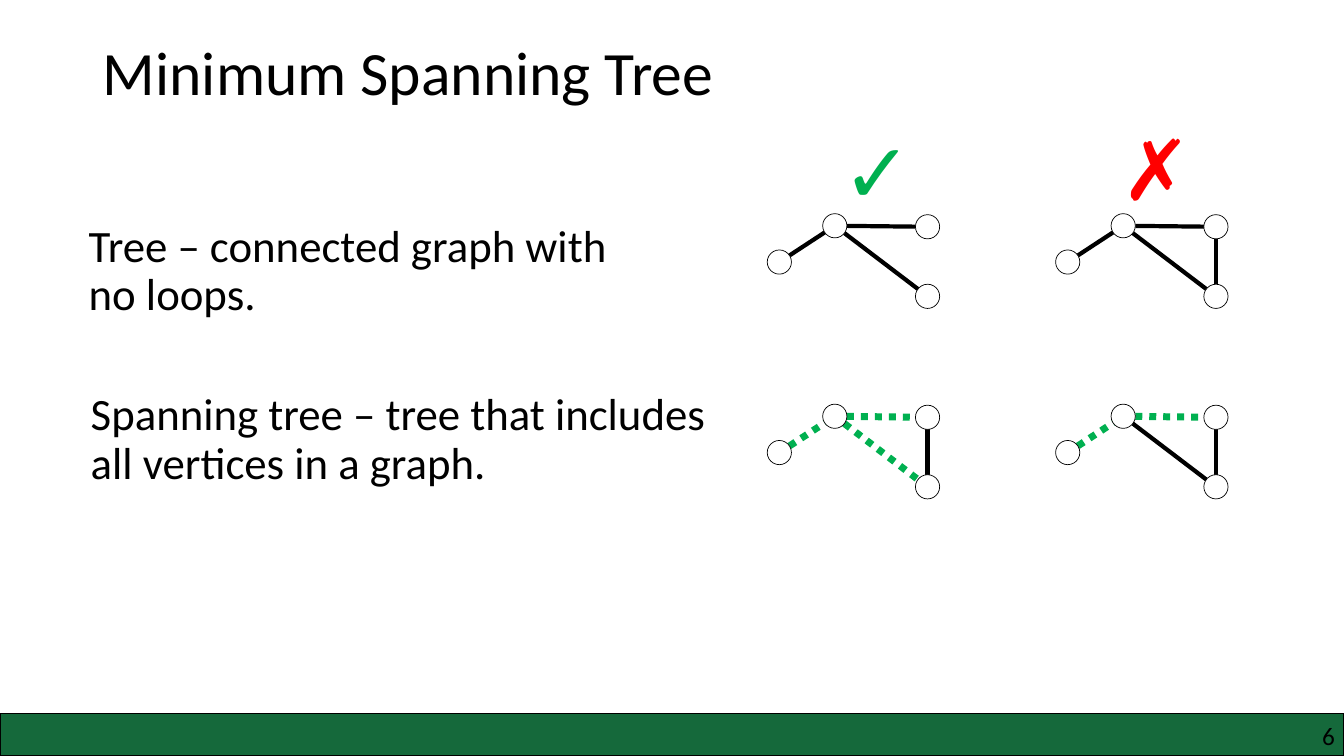
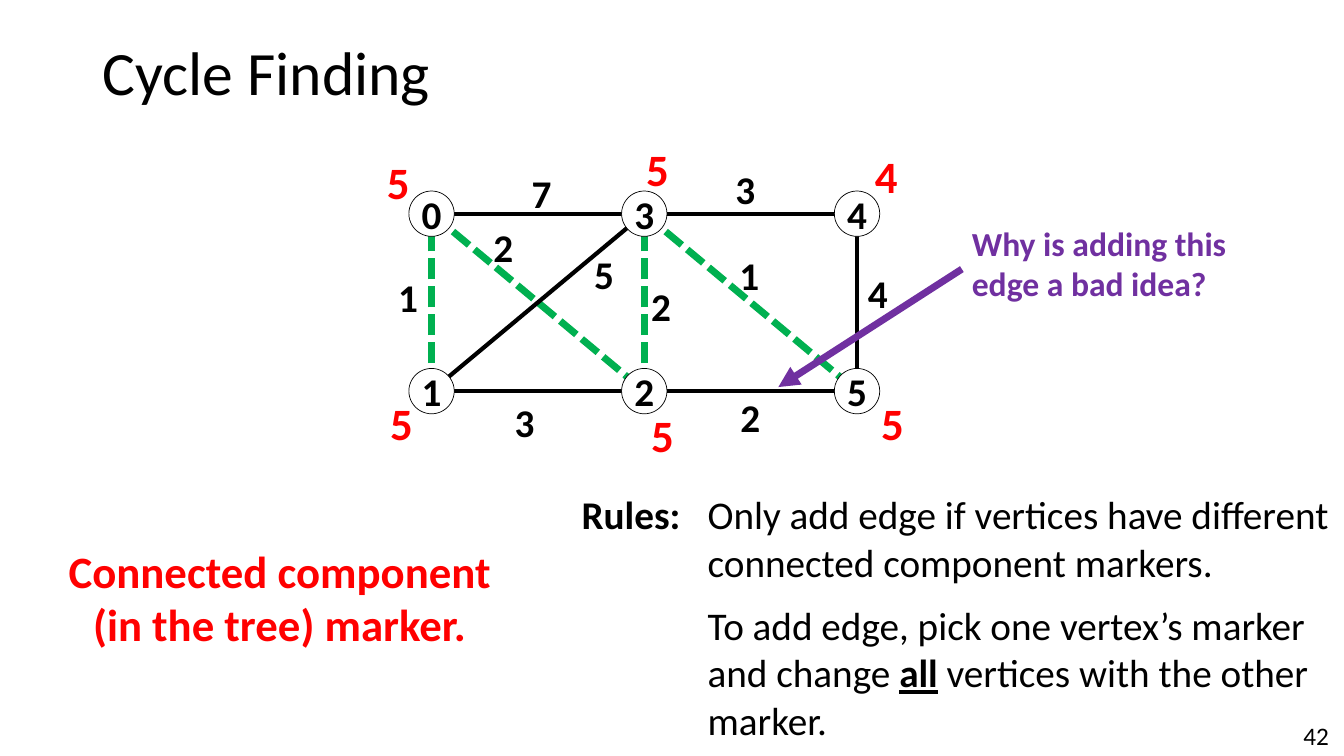
"""Build two lecture slides on spanning trees and cycle finding."""
from math import hypot

from lxml import etree
from pptx import Presentation
from pptx.dml.color import RGBColor
from pptx.enum.dml import MSO_LINE
from pptx.enum.shapes import MSO_CONNECTOR, MSO_SHAPE
from pptx.enum.text import MSO_ANCHOR, MSO_AUTO_SIZE, PP_ALIGN
from pptx.oxml.ns import qn
from pptx.util import Inches, Pt

LEFT, CENTER, RIGHT = PP_ALIGN.LEFT, PP_ALIGN.CENTER, PP_ALIGN.RIGHT
TOP, MIDDLE = MSO_ANCHOR.TOP, MSO_ANCHOR.MIDDLE
DOT, DASH = MSO_LINE.ROUND_DOT, MSO_LINE.SQUARE_DOT
STRAIGHT, OVAL, RECT = MSO_CONNECTOR.STRAIGHT, MSO_SHAPE.OVAL, MSO_SHAPE.RECTANGLE
NO_FIT = MSO_AUTO_SIZE.NONE

W, H = 13.33, 7.5
BLACK, WHITE, GREEN, RED, PURPLE, BAND = (
    RGBColor.from_string(c)
    for c in ("000000", "FFFFFF", "00B050", "FF0000", "7030A0", "15693B"))
THEME = {
    "title": {"size": 44, "color": BLACK},
    "body": {"size": 32, "color": BLACK},
    "rule": {"size": 28, "color": BLACK},
    "weight": {"size": 28, "color": BLACK, "bold": True},
    "marker": {"size": 32, "color": RED, "bold": True},
    "question": {"size": 24, "color": PURPLE, "bold": True},
    "yes": {"size": 60, "color": GREEN, "bold": True, "name": "Arial"},
    "no": {"size": 60, "color": RED, "bold": True, "name": "Arial"},
    "number": {"size": 18, "color": BLACK},
    "edge": (BLACK, 3, None),
    "dotted": (GREEN, 5, DOT),
    "dashed": (GREEN, 5, DASH),
    "arrow": (PURPLE, 5, None),
}


def write(sp, paras, style, align=LEFT, anchor=TOP, inset=None, gap=0, spacing=1.0):
    """Fill a shape with paragraphs, each a list of (text, extra format) runs."""
    tf = sp.text_frame
    frame = {"word_wrap": True, "auto_size": NO_FIT, "vertical_anchor": anchor}
    if inset is not None:
        frame.update({f"margin_{side}": Inches(inset)
                      for side in ("left", "top", "right", "bottom")})
    for key, value in frame.items():
        setattr(tf, key, value)
    for i, runs in enumerate(paras):
        p = tf.add_paragraph() if i else tf.paragraphs[0]
        p.alignment, p.line_spacing = align, spacing
        p.space_before = Pt(gap if i else 0)
        if sp.is_placeholder:
            pPr = p._p.get_or_add_pPr()
            pPr.set("marL", "0")
            pPr.set("indent", "0")
            etree.SubElement(pPr, qn("a:buNone"))
        for text, extra in runs:
            r = p.add_run()
            r.text = text
            fmt = {"name": "Calibri", **THEME[style], **extra}
            r.font.color.rgb = fmt.pop("color")
            fmt["size"] = Pt(fmt["size"])
            for key, value in fmt.items():
                setattr(r.font, key, value)


def add_line(s, start, end, style):
    """Draw a straight line without shadow and return it."""
    c = s.shapes.add_connector(STRAIGHT, *(Inches(v) for v in (*start, *end)))
    color, width, dash = THEME[style]
    c.line.color.rgb, c.line.width = color, Pt(width)
    if dash:
        c.line.dash_style = dash
    etree.SubElement(c.element.spPr, qn("a:effectLst"))
    return c


prs = Presentation()
prs.slide_width, prs.slide_height = Inches(W), Inches(H)
tree = prs.slides.add_slide(prs.slide_layouts[3])
cycle = prs.slides.add_slide(prs.slide_layouts[5])

for sp, box, text, style, anchor in (
    (tree.shapes.title, (0.92, 0.02, 11.5, 1.45), "Minimum Spanning Tree", "title", MIDDLE),
    (cycle.shapes.title, (0.92, 0.02, 11.5, 1.45), "Cycle Finding", "title", MIDDLE),
    (tree.placeholders[1], (0.78, 2.17, 5.76, 1.06),
     "Tree – connected graph with no loops.", "body", TOP),
    (tree.placeholders[2], (0.8, 3.84, 6.72, 1.06),
     "Spanning tree – tree that includes all vertices in a graph.", "body", TOP),
):
    sp.left, sp.top, sp.width, sp.height = (Inches(v) for v in box)
    write(sp, [[(text, {})]], style, anchor=anchor, spacing=0.9)

graphs = []
small_vertices = ((0, 0.36), (0.55, 0), (1.47, 0.01), (1.47, 0.7))
small_edges = ((0, 1), (1, 2), (1, 3), (3, 2))
for col, row, styles in (
    (0, 0, ["edge"] * 3),
    (1, 0, ["edge"] * 4),
    (0, 1, ["dotted"] * 3 + ["edge"]),
    (1, 1, ["dotted"] * 2 + ["edge"] * 2),
):
    x, y = 7.73 + 2.86 * col, 2.24 + 1.89 * row
    vertices = [(x + dx, y + dy) for dx, dy in small_vertices]
    edges = [(*ends, style) for ends, style in zip(small_edges, styles)]
    graphs.append((tree, vertices, edges, 0.24, 0.12, ""))

cols, rows = [4.28 + 2.11 * i for i in range(3)], (2.12, 3.88)
nodes = [(cols[i], rows[j]) for i, j in ((0, 0), (0, 1), (1, 1), (1, 0), (2, 0), (2, 1))]
weighted = (
    (1, 0, "dashed", "1", -0.43, -0.34),
    (5, 4, "edge", "4", 0.01, -0.38),
    (2, 3, "dashed", "2", -0.03, -0.25),
    (0, 3, "edge", "7", -0.16, -0.49),
    (1, 2, "edge", "3", -0.33, 0.02),
    (3, 4, "edge", "3", -0.25, -0.53),
    (2, 5, "edge", "2", -0.2, -0.03),
    (0, 2, "dashed", "2", -0.54, -0.83),
    (3, 5, "dashed", "1", -0.21, -0.56),
    (3, 1, "edge", "5", 0.46, -0.57),
)
graphs.append((cycle, nodes, [e[:3] for e in weighted], 0.45, 0, "012345"))

for s, vertices, edges, size, trim, names in graphs:
    for a, b, style in edges:
        (x1, y1), (x2, y2) = vertices[a], vertices[b]
        t = trim / hypot(x2 - x1, y2 - y1)
        dx, dy = t * (x2 - x1), t * (y2 - y1)
        add_line(s, (x1 + dx, y1 + dy), (x2 - dx, y2 - dy), style)
    for i, (x, y) in enumerate(vertices):
        sp = s.shapes.add_shape(OVAL, Inches(x - size / 2), Inches(y - size / 2),
                                Inches(size), Inches(size))
        sp.shadow.inherit = False
        sp.fill.solid()
        sp.fill.fore_color.rgb = WHITE
        sp.line.color.rgb, sp.line.width = BLACK, Pt(0.5)
        if names:
            write(sp, [[(names[i], {})]], "weight", CENTER, MIDDLE, inset=0)

band = tree.shapes.add_shape(RECT, 0, Inches(H - 0.42), Inches(W), Inches(0.42))
band.shadow.inherit = False
band.fill.solid()
band.fill.fore_color.rgb = BAND
band.line.color.rgb, band.line.width = BLACK, Pt(1)

labels = [
    (tree, (8.26, 1.14, 1.44, 1.11), ["✓"], "yes", LEFT),
    (tree, (11.03, 1.11, 0.76, 1.11), ["✗"], "no", LEFT),
    (cycle, (0.55, 5.34, 4.45, 1.18),
     ["Connected component", "(in the tree) marker."], "marker", CENTER),
    (cycle, (9.54, 2.16, 2.88, 0.91), ["Why is adding this edge a bad idea?"], "question", LEFT),
    (cycle, (5.67, 4.82, 1.25, 0.57), ["Rules:"], "weight", LEFT),
]
for a, b, _, weight, dx, dy in weighted:
    x, y = ((u + v) / 2 for u, v in zip(nodes[a], nodes[b]))
    labels.append((cycle, (x + dx, y + dy, 0.61, 0.57), [weight], "weight", LEFT))
offsets = ((-0.54, -0.63), (-0.51, 0), (-0.03, 0.12), (-0.08, -0.76), (0.08, -0.69), (0.14, 0))
for (x, y), (dx, dy), marker in zip(nodes, offsets, "555545"):
    labels.append((cycle, (x + dx, y + dy, 0.37, 0.64), [marker], "marker", LEFT))
for s, box, lines, style, align in labels:
    sp = s.shapes.add_textbox(*(Inches(v) for v in box))
    write(sp, [[(line, {})] for line in lines], style, align)

sp = cycle.shapes.add_textbox(*(Inches(v) for v in (6.92, 4.82, 6.41, 2.63)))
write(sp, [
    [("Only add edge if vertices have different connected component markers.", {})],
    [("To add edge, pick one vertex’s marker and change ", {}),
     ("all", {"bold": True, "underline": True}),
     (" vertices with the other marker.", {})],
], "rule", gap=12)

arrow = add_line(cycle, (9.54, 2.67), (7.72, 3.84), "arrow")
etree.SubElement(arrow.element.spPr.find(qn("a:ln")), qn("a:tailEnd"), type="triangle")

for s, number, right in ((tree, "6", 13.24), (cycle, "42", 13.18)):
    sp = s.shapes.add_textbox(Inches(right - 0.73), Inches(7.15), Inches(0.73), Inches(0.3))
    write(sp, [[(number, {})]], "number", RIGHT, inset=0)

prs.save("out.pptx")
